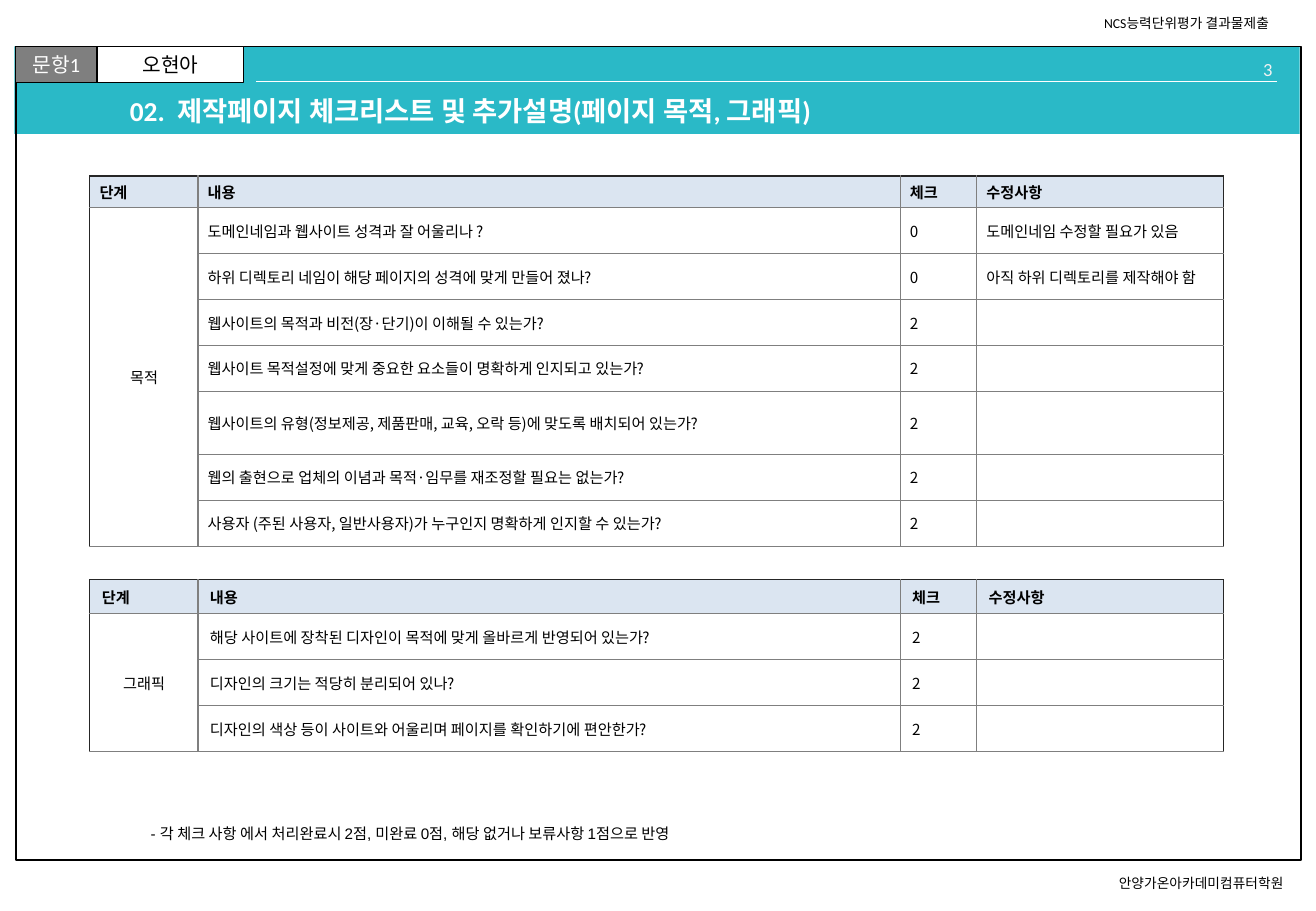
from typing import NamedTuple

from lxml import etree
from pptx import Presentation
from pptx.dml.color import RGBColor
from pptx.enum.shapes import MSO_CONNECTOR, MSO_SHAPE
from pptx.enum.text import MSO_ANCHOR, MSO_AUTO_SIZE, PP_ALIGN
from pptx.oxml.ns import qn
from pptx.util import Cm, Pt

LEFT, CENTER, RIGHT = PP_ALIGN.LEFT, PP_ALIGN.CENTER, PP_ALIGN.RIGHT
TOP, MIDDLE, BOTTOM = MSO_ANCHOR.TOP, MSO_ANCHOR.MIDDLE, MSO_ANCHOR.BOTTOM
RECTANGLE, STRAIGHT = MSO_SHAPE.RECTANGLE, MSO_CONNECTOR.STRAIGHT

COLORS = {
    "teal": "2AB9C7", "gray": "7F7F7F", "dark": "262626", "header": "DBE5F1",
    "white": "FFFFFF", "pale": "F2F2F2", "black": "000000",
}
KOREAN = "Noto Sans CJK KR"


class Box(NamedTuple):
    left: float
    top: float
    width: float
    height: float

    def lengths(self) -> list:
        return [Cm(value) for value in self]


class Style(NamedTuple):
    size: float
    color: str = "black"
    font: str = "Calibri"
    bold: bool = False
    align: PP_ALIGN = LEFT


class Panel(NamedTuple):
    box: Box
    fill: str | None = None
    line_width: float = 0
    text: str = ""
    style: Style = Style(12)


class Label(NamedTuple):
    box: Box
    text: str
    style: Style


class Checklist(NamedTuple):
    top: float
    inset: float
    stage: str
    rows: list[tuple[str, str, str]]
    heights: list[float]


def rgb(name: str) -> RGBColor:
    return RGBColor.from_string(COLORS[name])


def write(paragraph, text: str, style: Style) -> None:
    paragraph.alignment = style.align
    run = paragraph.add_run()
    run.text = text
    font = run.font
    font.name, font.size, font.bold = style.font, Pt(style.size), style.bold
    font.color.rgb = rgb(style.color)
    east_asian = etree.Element(qn("a:ea"), typeface=KOREAN)
    font._element.find(qn("a:latin")).addnext(east_asian)


def draw_panel(shapes, panel: Panel) -> None:
    shape = shapes.add_shape(RECTANGLE, *panel.box.lengths())
    shape.shadow.inherit = False
    if panel.fill:
        shape.fill.solid()
        shape.fill.fore_color.rgb = rgb(panel.fill)
    else:
        shape.fill.background()
    if panel.line_width:
        shape.line.color.rgb = rgb("black")
        shape.line.width = Pt(panel.line_width)
    else:
        shape.line.fill.background()
    if panel.text:
        frame = shape.text_frame
        frame.margin_left = frame.margin_right = 0
        frame.vertical_anchor = MIDDLE
        write(frame.paragraphs[0], panel.text, panel.style)


def draw_label(shapes, label: Label) -> None:
    frame = shapes.add_textbox(*label.box.lengths()).text_frame
    frame.word_wrap = True
    frame.vertical_anchor = TOP
    write(frame.paragraphs[0], label.text, label.style)


def draw_rule(shapes, left: float, right: float, y: float) -> None:
    rule = shapes.add_connector(STRAIGHT, Cm(left), Cm(y), Cm(right), Cm(y))
    rule.line.color.rgb = rgb("white")
    rule.line.width = Pt(0.75)
    etree.SubElement(rule._element.spPr, qn("a:effectLst"))


def add_border(cell, side: str, color: str) -> None:
    line = etree.SubElement(cell._tc.get_or_add_tcPr(), qn(f"a:ln{side}"), w=str(Pt(0.75)))
    fill = etree.SubElement(line, qn("a:solidFill"))
    etree.SubElement(fill, qn("a:srgbClr"), val=COLORS[color])


def draw_checklist(shapes, checklist: Checklist) -> None:
    heights = [HEADER_HEIGHT, *checklist.heights]
    contents = [HEADINGS] + [("", *row) for row in checklist.rows]
    box = Box(TABLE_LEFT, checklist.top, sum(COLUMNS), sum(heights))
    table = shapes.add_table(len(contents), len(COLUMNS), *box.lengths()).table
    table.first_row = table.horz_banding = False
    for column, width in zip(table.columns, COLUMNS):
        column.width = Cm(width)
    for row, height in zip(table.rows, heights):
        row.height = Cm(height)

    last = len(COLUMNS) - 1
    for r, texts in enumerate(contents):
        for c, text in enumerate(texts):
            cell = table.cell(r, c)
            add_border(cell, "L", "dark" if c == 0 else "gray")
            add_border(cell, "R", "dark" if c == last else "gray")
            add_border(cell, "T", "dark" if r == 0 else "gray")
            add_border(cell, "B", "gray")
            cell.fill.solid()
            cell.fill.fore_color.rgb = rgb("white" if r else "header")
            cell.vertical_anchor = BOTTOM if r == c == 0 else MIDDLE
            cell.margin_left = cell.margin_right = Cm(checklist.inset)
            cell.margin_top = cell.margin_bottom = Cm(checklist.inset / 2)
            paragraph = cell.text_frame.paragraphs[0]
            if text:
                write(paragraph, text, Style(9, font=KOREAN, bold=r == 0))
            else:
                paragraph._p.get_or_add_endParaRPr().set("sz", "900")

    stage = table.cell(1, 0)
    stage.merge(table.cell(len(contents) - 1, 0))
    write(stage.text_frame.paragraphs[0], checklist.stage, Style(9, font=KOREAN, align=CENTER))


# Content
PANELS = [
    Panel(Box(0.3, 0.97, 26.87, 1.83), "teal"),
    Panel(Box(0.33, 0.97, 26.87, 17.02), None, 1),
    Panel(Box(0.33, 0.97, 1.7, 0.76), "gray", 0.75, "문항1", Style(12, "white", align=CENTER)),
    Panel(Box(2.03, 0.97, 3.07, 0.76), "white", 0.75, "오현아", Style(12, align=CENTER)),
]
LABELS = [
    Label(Box(23.14, 18.16, 4.27, 0.61), "안양가온아카데미컴퓨터학원", Style(8.1)),
    Label(Box(22.83, 0.18, 4.37, 0.61), "NCS능력단위평가 결과물제출", Style(8.1)),
    Label(Box(23.85, 1.09, 3, 0.51), "3", Style(11, "pale", align=RIGHT)),
    Label(Box(2.9, 17.12, 22.96, 0.64),
          "- 각 체크 사항 에서 처리완료시 2점, 미완료 0점, 해당 없거나 보류사항 1점으로 반영",
          Style(9, font="Arial")),
]
TITLE = "02.  제작페이지 체크리스트 및 추가설명(페이지 목적, 그래픽)"

HEADINGS = ("단계", "내용", "체크", "수정사항")
COLUMNS = [2.26, 14.68, 1.6, 5.16]
TABLE_LEFT = 1.88
HEADER_HEIGHT, ROW_HEIGHT, TALL_ROW_HEIGHT = 0.58, 0.96, 1.32
CHECKLISTS = [
    Checklist(3.68, 0.2, "목적", [
        ("도메인네임과 웹사이트 성격과 잘 어울리나 ?", "0", "도메인네임 수정할 필요가 있음"),
        ("하위 디렉토리 네임이 해당 페이지의 성격에 맞게 만들어 졌나?", "0",
         "아직 하위 디렉토리를 제작해야 함"),
        ("웹사이트의 목적과 비전(장·단기)이 이해될 수 있는가?", "2", ""),
        ("웹사이트 목적설정에 맞게 중요한 요소들이 명확하게 인지되고 있는가?", "2", ""),
        ("웹사이트의 유형(정보제공, 제품판매, 교육, 오락 등)에 맞도록 배치되어 있는가?", "2", ""),
        ("웹의 출현으로 업체의 이념과 목적·임무를 재조정할 필요는 없는가?", "2", ""),
        ("사용자 (주된 사용자, 일반사용자)가 누구인지 명확하게 인지할 수 있는가?", "2", ""),
    ], [ROW_HEIGHT] * 4 + [TALL_ROW_HEIGHT] + [ROW_HEIGHT] * 2),
    Checklist(12.12, 0.25, "그래픽", [
        ("해당 사이트에 장착된 디자인이 목적에 맞게 올바르게 반영되어 있는가?", "2", ""),
        ("디자인의 크기는 적당히 분리되어 있나?", "2", ""),
        ("디자인의 색상 등이 사이트와 어울리며 페이지를 확인하기에 편안한가?", "2", ""),
    ], [ROW_HEIGHT] * 3),
]

presentation = Presentation()
presentation.slide_width, presentation.slide_height = Cm(27.51), Cm(19.05)
slide = presentation.slides.add_slide(presentation.slide_layouts[5])
shapes = slide.shapes

# Frame, tabs and captions
for panel in PANELS:
    draw_panel(shapes, panel)
for label in LABELS:
    draw_label(shapes, label)
draw_rule(shapes, 5.36, 26.7, 1.7)

# Title, raised above the banner
title = shapes.title
title.left, title.top, title.width, title.height = Box(2.46, 1.93, 22.25, 0.86).lengths()
heading = title.text_frame
heading.word_wrap, heading.auto_size = True, MSO_AUTO_SIZE.NONE
heading.vertical_anchor = MIDDLE
heading.paragraphs[0].line_spacing = 0.9
write(heading.paragraphs[0], TITLE, Style(16.2, "white", bold=True))
shapes._spTree.append(title._element)

# Checklists
for checklist in CHECKLISTS:
    draw_checklist(shapes, checklist)

presentation.save("out.pptx")
